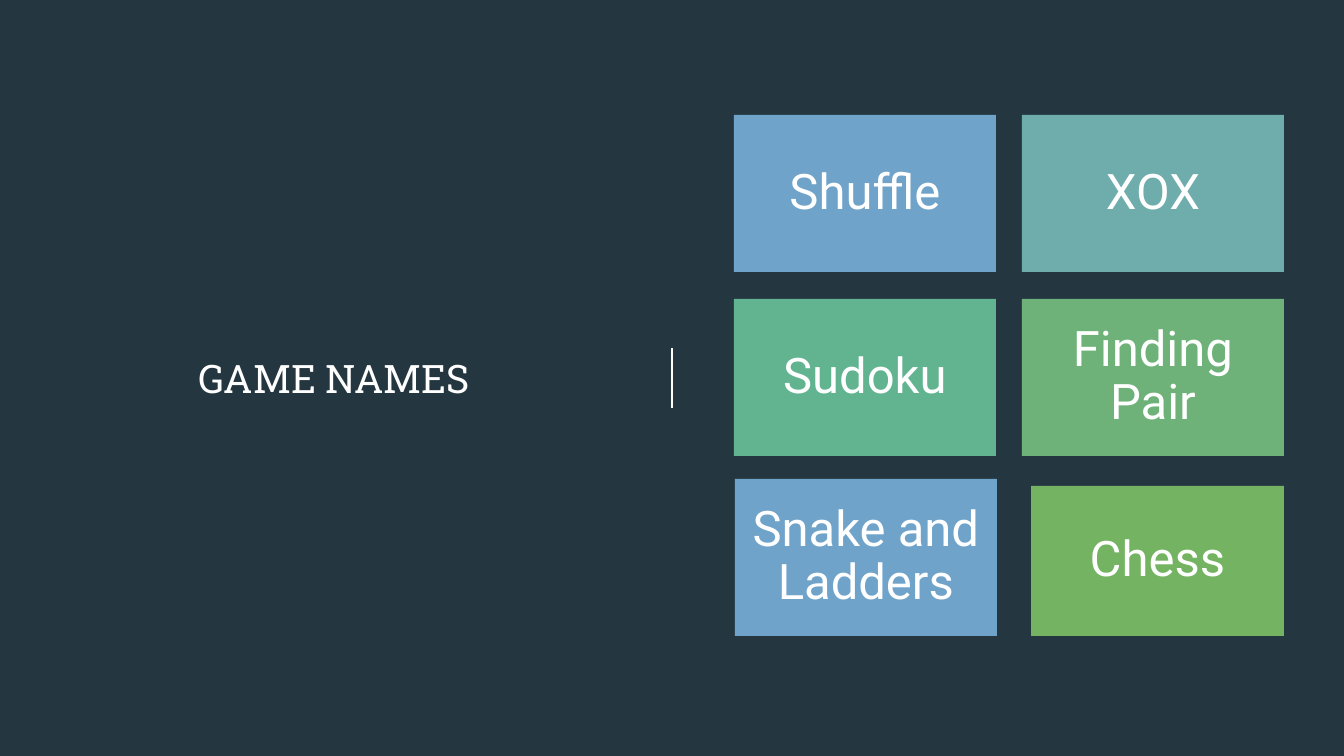
from lxml.etree import SubElement
from pptx import Presentation
from pptx.dml.color import RGBColor
from pptx.enum.shapes import MSO_CONNECTOR, MSO_SHAPE
from pptx.enum.text import MSO_ANCHOR, PP_ALIGN
from pptx.oxml.ns import qn
from pptx.util import Pt

COLORS = {
    "background": "243741",
    "white": "FFFFFF",
    "blue": "6FA3C9",
    "teal": "6FADAD",
    "mint": "62B491",
    "green": "6EB279",
    "leaf": "74B361",
}
TILE_W, TILE_H = 262, 157
GRID_LEFT, GRID_TOP = 734, 115
STEP_X, STEP_Y = 288, 184
GRID_GAMES = [
    ("Shuffle", "blue"),
    ("XOX", "teal"),
    ("Sudoku", "mint"),
    ("Finding Pair", "green"),
]


def px(n):
    return round(n * 914400 / 100.8)


def color(name):
    return RGBColor.from_string(COLORS[name])


def set_text(sp, text, font="Roboto", size=35, inset=0, spacing=None):
    tf = sp.text_frame
    tf.word_wrap = True
    tf.vertical_anchor = MSO_ANCHOR.MIDDLE
    tf.margin_left = tf.margin_right = px(inset)
    tf.margin_top = tf.margin_bottom = px(inset)
    p = tf.paragraphs[0]
    p.alignment = PP_ALIGN.CENTER
    p.line_spacing = spacing
    r = p.add_run()
    r.text = text
    r.font.name = font
    r.font.size = Pt(size)
    r.font.color.rgb = color("white")


def add_title(s, text, x, y, w, h):
    sp = s.shapes.title
    sp.left, sp.top, sp.width, sp.height = px(x), px(y), px(w), px(h)
    set_text(sp, text, font="Roboto Slab", size=28)


def add_divider(s, x, top, bottom):
    line = s.shapes.add_connector(
        MSO_CONNECTOR.STRAIGHT, px(x), px(top), px(x), px(bottom))
    line.line.color.rgb = color("white")
    line.line.width = Pt(1)
    SubElement(line._element.spPr, qn("a:effectLst"))


def add_tile(s, text, fill, x, y, w=TILE_W, h=TILE_H):
    sp = s.shapes.add_shape(
        MSO_SHAPE.RECTANGLE, px(x), px(y), px(w), px(h))
    sp.shadow.inherit = False
    sp.fill.solid()
    sp.fill.fore_color.rgb = color(fill)
    sp.line.fill.background()
    set_text(sp, text, inset=15, spacing=0.9)


def main():
    prs = Presentation()
    prs.slide_width, prs.slide_height = px(1344), px(756)
    s = prs.slides.add_slide(prs.slide_layouts[5])
    s.background.fill.solid()
    s.background.fill.fore_color.rgb = color("background")

    add_title(s, "GAME NAMES", 119, 119, 430, 517)
    add_divider(s, 672, 348, 408)
    for i, (game, fill) in enumerate(GRID_GAMES):
        row, col = divmod(i, 2)
        add_tile(s, game, fill, GRID_LEFT + col * STEP_X, GRID_TOP + row * STEP_Y)
    add_tile(s, "Chess", "leaf", 1031, 486, 253, 150)
    add_tile(s, "Snake and Ladders", "blue", 735, 479)
    prs.save("out.pptx")


if __name__ == "__main__":
    main()
